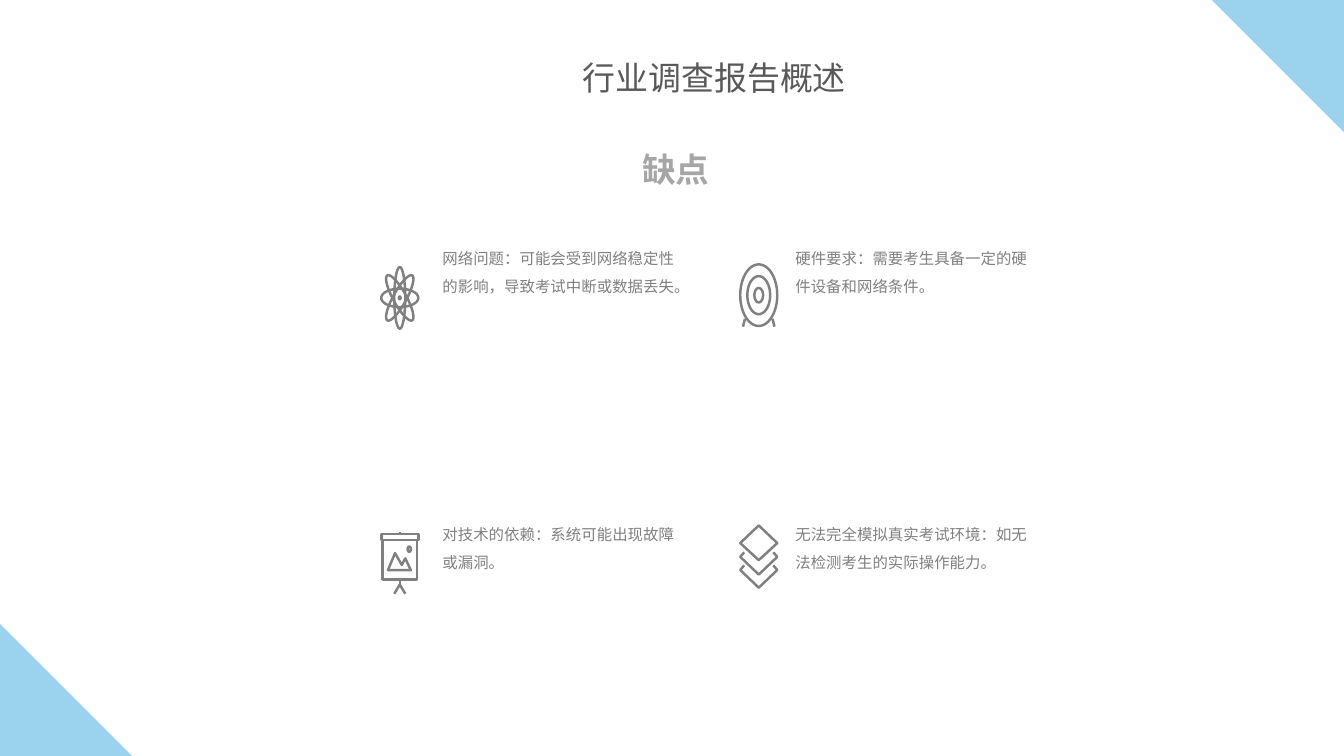
from math import cos, pi, sin

from lxml.etree import SubElement
from pptx import Presentation
from pptx.dml.color import RGBColor
from pptx.enum.shapes import MSO_SHAPE as SHAPE
from pptx.enum.text import MSO_ANCHOR as ANCHOR, PP_ALIGN as ALIGN
from pptx.oxml.ns import qn
from pptx.util import Inches, Pt

SKY = RGBColor(0x9B, 0xD3, 0xEF)
DARK = RGBColor(0x59, 0x59, 0x59)
GRAY = RGBColor(0x80, 0x80, 0x80)
LIGHT = RGBColor(0xA6, 0xA6, 0xA6)
FONT = "Noto Sans CJK SC"
W, H = Inches(13.33), Inches(7.5)
CORNER = Inches(1.31)

# Shares of the slide's width and height, in percent
ICON_COLUMNS, ICON_SIZE = (28.28, 54.99), (2.93, 8.67)
TEXT_COLUMNS, TEXT_ROWS = (32.18, 58.44), (31.07, 67.6)
TEXT_WIDTH = 19.58


def across(share):
    return round(W * share / 100)


def down(share):
    return round(H * share / 100)


def add_corner(slide, left, top, rotation=0):
    sp = slide.shapes.add_shape(SHAPE.RIGHT_TRIANGLE, left, top, CORNER, CORNER)
    sp.rotation = rotation
    sp.shadow.inherit = False
    sp.fill.solid()
    sp.fill.fore_color.rgb = SKY
    sp.line.fill.background()


def add_text(slide, text, left, top, width, height, *, size, color,
             spacing, bold=False, inset=(0.1, 0.05)):
    """Place a text box by shares of the slide."""
    box = slide.shapes.add_textbox(across(left), down(top), across(width), down(height))
    tf = box.text_frame
    tf.word_wrap = True
    tf.vertical_anchor = ANCHOR.TOP
    tf.margin_left = tf.margin_right = Inches(inset[0])
    tf.margin_top = tf.margin_bottom = Inches(inset[1])
    p = tf.paragraphs[0]
    p.alignment = ALIGN.LEFT
    p.line_spacing = spacing
    r = p.add_run()
    r.text = text
    r.font.name, r.font.size, r.font.bold = FONT, Pt(size), bold
    r.font.color.rgb = color
    SubElement(r.font._element, qn("a:ea"), typeface=FONT)


def ellipse(cx, cy, rx, ry, turn=0, steps=48):
    """Return a closed contour in the unit square of an icon."""
    points = []
    for i in range(steps):
        a = 2 * pi * i / steps
        x, y = rx * cos(a), ry * sin(a)
        points.append((cx + x * cos(turn) - y * sin(turn),
                       cy + x * sin(turn) + y * cos(turn)))
    return points, True


def rectangle(x1, y1, x2, y2):
    return [(x1, y1), (x2, y1), (x2, y2), (x1, y2)], True


def atom():
    petals = [ellipse(0.5, 0.5, 0.47, 0.14, k * pi / 4) for k in range(4)]
    return petals + [ellipse(0.5, 0.5, 0.02, 0.02)]


def target():
    rings = [ellipse(0.5, 0.49, r, r) for r in (0.47, 0.29, 0.11)]
    legs = [([(0.5 + s * 0.35, 0.85), (0.5 + s * 0.4, 0.97)], False) for s in (-1, 1)]
    return rings + legs


def board():
    return [
        rectangle(0.03, 0.06, 0.97, 0.15),
        rectangle(0.06, 0.15, 0.94, 0.75),
        ([(0.5, 0.02), (0.5, 0.06)], False),
        ([(0.5, 0.75), (0.5, 0.83)], False),
        ([(0.36, 0.97), (0.5, 0.83), (0.64, 0.97)], False),
        ([(0.2, 0.61), (0.38, 0.35), (0.55, 0.53), (0.64, 0.43), (0.78, 0.61)], True),
        ellipse(0.74, 0.29, 0.04, 0.04),
    ]


def layers():
    top = [(0.03, 0.29), (0.5, 0.02), (0.97, 0.29), (0.5, 0.55)], True
    lower = [([(0.13, y - 0.07), (0.03, y), (0.5, y + 0.27), (0.97, y), (0.87, y - 0.07)],
              False) for y in (0.5, 0.7)]
    return [top] + lower


def add_icon(slide, contours, left, top):
    """Draw all contours of an icon as one outlined freeform."""
    def place(point):
        return (across(left + point[0] * ICON_SIZE[0]),
                down(top + point[1] * ICON_SIZE[1]))

    builder = None
    for points, closed in contours:
        first, *rest = map(place, points)
        if builder is None:
            builder = slide.shapes.build_freeform(*first)
        else:
            builder.move_to(*first)
        builder.add_line_segments(rest, close=closed)
    sp = builder.convert_to_shape()
    sp.shadow.inherit = False
    sp.fill.background()
    sp.line.color.rgb = GRAY
    sp.line.width = Pt(1.75)


def main():
    prs = Presentation()
    prs.slide_width, prs.slide_height = W, H
    slide = prs.slides.add_slide(prs.slide_layouts[6])

    add_corner(slide, 0, H - CORNER)
    add_corner(slide, W - CORNER, 0, rotation=180)
    add_text(slide, "行业调查报告概述", 42.61, 8, 21.25, 7.6,
             size=23.5, color=DARK, spacing=0.8)
    add_text(slide, "缺点", 46.89, 20, 11.63, 7.87, size=24, color=LIGHT,
             spacing=0.77, bold=True, inset=(0.12, 0.06))

    drawbacks = [
        (atom, 35.07, 12.53, "网络问题：可能会受到网络稳定性的影响，导致考试中断或数据丢失。"),
        (target, 34.8, 8.8, "硬件要求：需要考生具备一定的硬件设备和网络条件。"),
        (board, 70.13, 8.8, "对技术的依赖：系统可能出现故障或漏洞。"),
        (layers, 69.33, 8.8, "无法完全模拟真实考试环境：如无法检测考生的实际操作能力。"),
    ]
    for i, (icon, icon_top, height, text) in enumerate(drawbacks):
        row, column = divmod(i, 2)
        add_icon(slide, icon(), ICON_COLUMNS[column], icon_top)
        add_text(slide, text, TEXT_COLUMNS[column], TEXT_ROWS[row], TEXT_WIDTH, height,
                 size=11, color=GRAY, spacing=Pt(20))

    prs.save("out.pptx")


if __name__ == "__main__":
    main()
